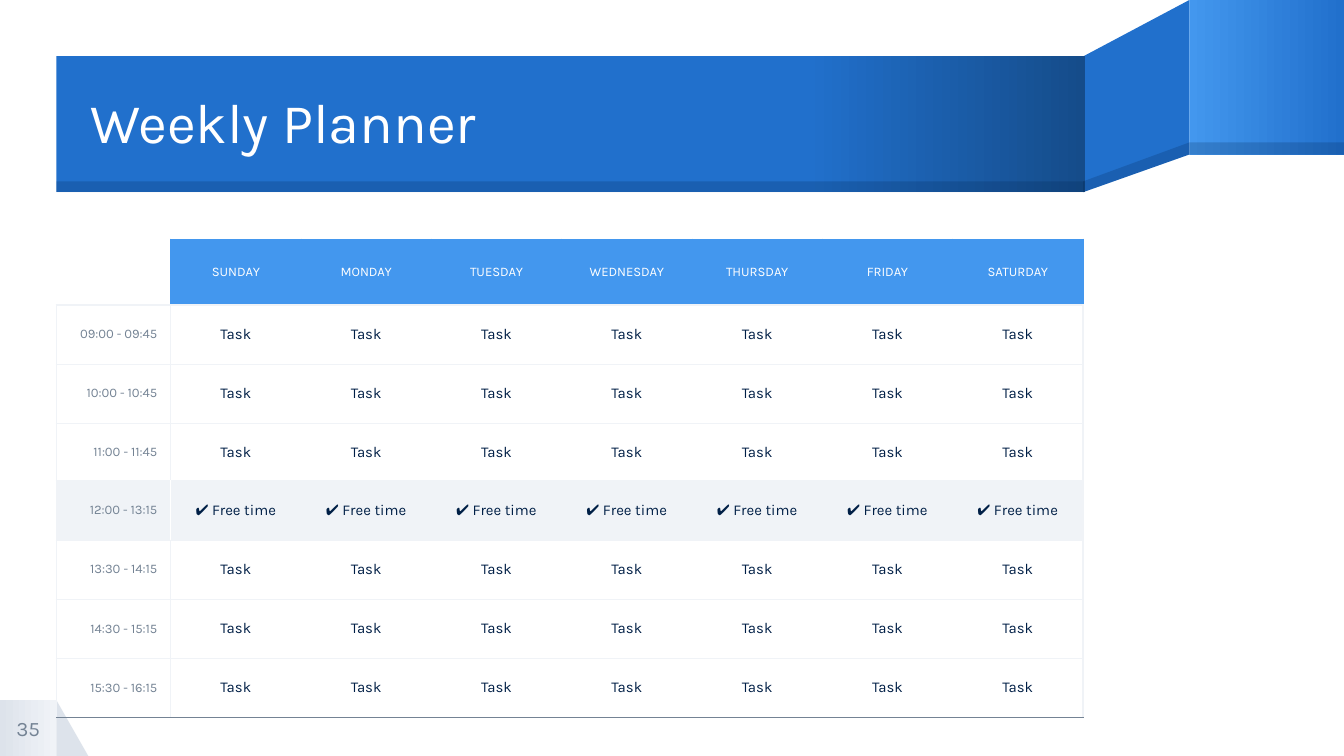
from typing import NamedTuple, Optional

from lxml import etree
from pptx import Presentation
from pptx import util as u
from pptx.dml.color import RGBColor
from pptx.enum import shapes, text
from pptx.oxml import ns

NAVY = RGBColor(0x00, 0x1F, 0x46)
DEEP = RGBColor(0x15, 0x4C, 0x8A)
BLUE = RGBColor(0x21, 0x70, 0xCC)
SKY = RGBColor(0x43, 0x97, 0xEE)
SLATE = RGBColor(0x74, 0x83, 0x94)
MIST = RGBColor(0xDD, 0xE3, 0xEB)
PALE = RGBColor(0xF0, 0xF3, 0xF7)
WHITE = RGBColor(0xFF, 0xFF, 0xFF)

FONT = "Karla"
PLAIN_TABLE = "{2D5ABB26-0587-4C30-8999-92F81FD0307C}"
LEFT, CENTER, RIGHT = text.PP_ALIGN.LEFT, text.PP_ALIGN.CENTER, text.PP_ALIGN.RIGHT
RECT = shapes.MSO_SHAPE.RECTANGLE
TRIANGLE = shapes.MSO_SHAPE.RIGHT_TRIANGLE

DAYS = ["SUNDAY", "MONDAY", "TUESDAY", "WEDNESDAY", "THURSDAY", "FRIDAY", "SATURDAY"]
ROW_HEIGHTS = [0.49, 0.44, 0.44, 0.43, 0.44, 0.44, 0.44, 0.44]


class Paint(NamedTuple):
    stops: list[tuple[int, RGBColor]]
    alpha: int = 100


class Block(NamedTuple):
    left: float
    top: float
    width: float
    height: float
    paint: Paint
    kind: int = RECT


class Panel(NamedTuple):
    points: list[tuple[float, float]]
    paint: Paint


class Style(NamedTuple):
    size: float
    color: RGBColor
    align: int


class Slot(NamedTuple):
    time: str
    entry: str = "Task"
    fill: Optional[RGBColor] = None
    divider: RGBColor = PALE


SHADE = Paint([(0, NAVY)], 20)
SIDE = Paint([(0, BLUE)])

ORNAMENTS = [
    Block(0.42, 5.21, 0.24, 0.42, Paint([(0, MIST)]), TRIANGLE),
    Block(0, 5.21, 0.42, 0.42, Paint([(0, MIST), (100, PALE)])),
    Panel([(8.85, 0), (8.06, 0.42), (8.06, 1.43), (8.85, 1.15)], SIDE),
    Block(8.85, 0, 1.15, 1.15, Paint([(0, SKY), (100, BLUE)])),
    Block(0.42, 0.42, 7.65, 1.01, Paint([(0, BLUE), (73, BLUE), (100, DEEP)])),
    Panel([(8.85, 1.06), (8.06, 1.35), (8.06, 1.43), (8.85, 1.15)], SHADE),
    Block(8.85, 1.06, 1.15, 0.09, SHADE),
    Block(0.42, 1.35, 7.65, 0.08, SHADE),
]

SLOTS = [
    Slot("09:00 - 09:45"),
    Slot("10:00 - 10:45"),
    Slot("11:00 - 11:45"),
    Slot("12:00 - 13:15", "✔ Free time", PALE, WHITE),
    Slot("13:30 - 14:15"),
    Slot("14:30 - 15:15"),
    Slot("15:30 - 16:15"),
]

HEADER = Style(7, WHITE, CENTER)
TIME = Style(7, SLATE, RIGHT)
ENTRY = Style(8, NAVY, CENTER)


def add_color(parent, color: RGBColor) -> None:
    etree.SubElement(parent, ns.qn("a:srgbClr"), val=str(color))


def apply_paint(sp, paint: Paint) -> None:
    sp.shadow.inherit = False
    sp.line.fill.background()
    if len(paint.stops) == 1:
        sp.fill.solid()
        sp.fill.fore_color.rgb = paint.stops[0][1]
        if paint.alpha < 100:
            clr = sp.element.spPr.find(ns.qn("a:solidFill"))[0]
            etree.SubElement(clr, ns.qn("a:alpha"), val=str(paint.alpha * 1000))
        return
    sp.fill.gradient()
    sp.fill.gradient_angle = 0
    stops = sp.element.spPr.find(ns.qn("a:gradFill")).find(ns.qn("a:gsLst"))
    for old in list(stops):
        stops.remove(old)
    for pos, color in paint.stops:
        add_color(etree.SubElement(stops, ns.qn("a:gs"), pos=str(pos * 1000)), color)


def draw_ornament(s, item: Block | Panel) -> None:
    if isinstance(item, Block):
        box = [u.Inches(v) for v in item[:4]]
        sp = s.shapes.add_shape(item.kind, *box)
    else:
        points = [(u.Inches(x), u.Inches(y)) for x, y in item.points]
        builder = s.shapes.build_freeform(*points[0])
        builder.add_line_segments(points[1:], close=True)
        sp = builder.convert_to_shape()
    apply_paint(sp, item.paint)


def write(tf, words: str, style: Style) -> None:
    p = tf.paragraphs[0]
    p.text = words
    p.alignment = style.align
    for r in p.runs:
        r.font.name = FONT
        r.font.size = u.Pt(style.size)
        r.font.color.rgb = style.color


def add_label(s, box: tuple[float, ...], words: str, style: Style):
    tf = s.shapes.add_textbox(*[u.Inches(v) for v in box]).text_frame
    tf.word_wrap = True
    tf.vertical_anchor = text.MSO_ANCHOR.MIDDLE
    tf.margin_left = tf.margin_right = tf.margin_top = tf.margin_bottom = 0
    write(tf, words, style)
    return tf


def fill_cell(cell, words: str, style: Style, fill: Optional[RGBColor],
              borders: dict[str, RGBColor]) -> None:
    margin = u.Inches(0.1 if words else 0)
    cell.margin_left = cell.margin_right = margin
    cell.margin_top = cell.margin_bottom = margin
    cell.vertical_anchor = text.MSO_ANCHOR.MIDDLE
    write(cell.text_frame, words, style)
    if fill is None:
        cell.fill.background()
    else:
        cell.fill.solid()
        cell.fill.fore_color.rgb = fill
    tc_pr = cell._tc.get_or_add_tcPr()
    for i, side in enumerate("LRTB"):
        ln = etree.Element(ns.qn(f"a:ln{side}"), w=str(u.Pt(0.75)))
        if side in borders:
            add_color(etree.SubElement(ln, ns.qn("a:solidFill")), borders[side])
        else:
            etree.SubElement(ln, ns.qn("a:noFill"))
        tc_pr.insert(i, ln)


def add_planner(s) -> None:
    widths = [0.85] + [0.97] * len(DAYS)
    frame = s.shapes.add_table(
        len(ROW_HEIGHTS), len(widths), u.Inches(0.42), u.Inches(1.78),
        u.Inches(sum(widths)), u.Inches(sum(ROW_HEIGHTS)))
    table = frame.table
    table.first_row = table.horz_banding = False
    table._tbl.tblPr.find(ns.qn("a:tableStyleId")).text = PLAIN_TABLE
    for col, width in zip(table.columns, widths):
        col.width = u.Inches(width)
    for row, height in zip(table.rows, ROW_HEIGHTS):
        row.height = u.Inches(height)

    fill_cell(table.cell(0, 0), "", HEADER, None, {"R": SKY, "B": PALE})
    for c, day in enumerate(DAYS, 1):
        fill_cell(table.cell(0, c), day, HEADER, SKY, dict.fromkeys("LRT", SKY))

    for r, slot in enumerate(SLOTS, 1):
        rules = {"T": PALE, "B": SLATE if r == len(SLOTS) else PALE}
        fill_cell(table.cell(r, 0), slot.time, TIME, slot.fill,
                  rules | {"L": PALE, "R": slot.divider})
        for c in range(1, len(widths)):
            sides = {"L": slot.divider} if c == 1 else {}
            if c == len(DAYS):
                sides = {"R": PALE}
            fill_cell(table.cell(r, c), slot.entry, ENTRY, slot.fill, rules | sides)


def main() -> None:
    prs = Presentation()
    prs.slide_width = u.Inches(10)
    prs.slide_height = prs.slide_width * 9 // 16
    s = prs.slides.add_slide(prs.slide_layouts[6])
    for item in ORNAMENTS:
        draw_ornament(s, item)
    title = add_label(s, (0.67, 0.43, 7.39, 1.01), "Weekly Planner", Style(30, WHITE, LEFT))
    title.paragraphs[0].line_spacing = 0.9
    add_label(s, (0, 5.21, 0.42, 0.42), "35", Style(11, SLATE, CENTER))
    add_planner(s)
    prs.save("out.pptx")


if __name__ == "__main__":
    main()
